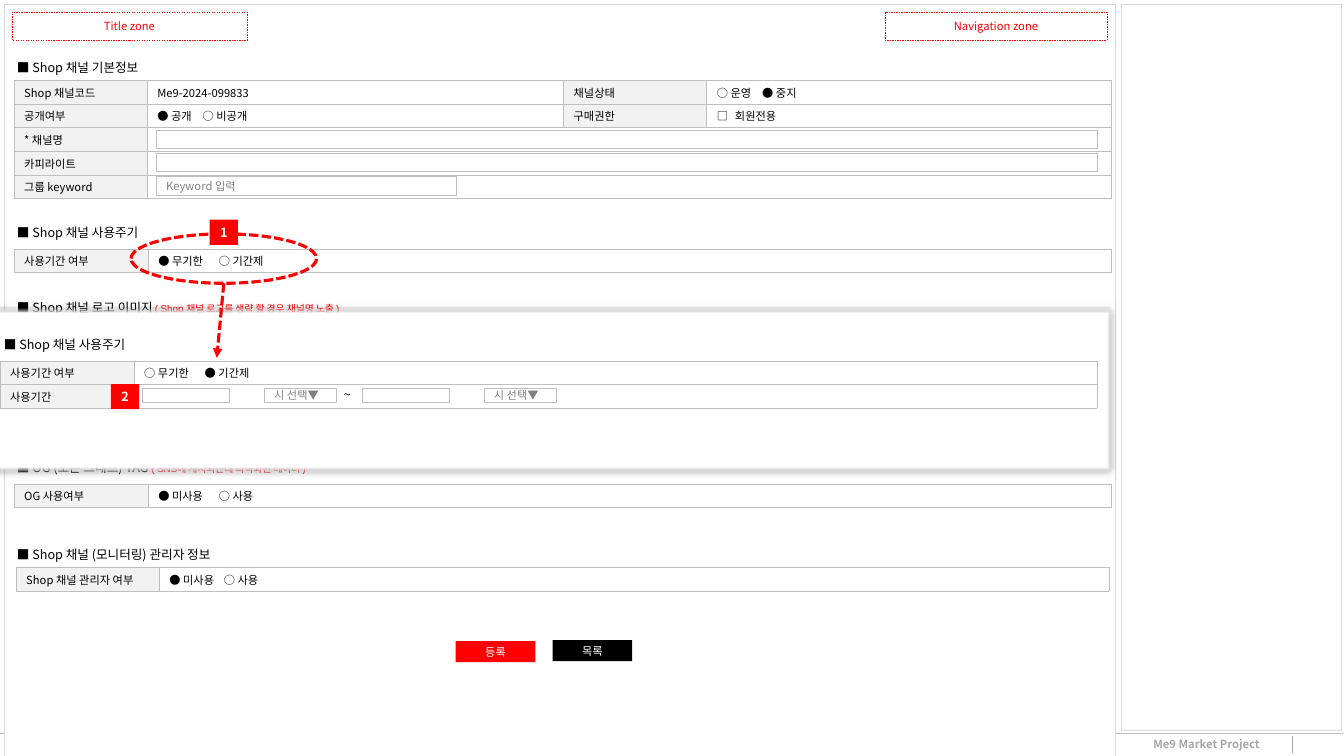
from lxml.etree import SubElement
from pptx import Presentation
from pptx.dml.color import RGBColor
from pptx.enum.dml import MSO_LINE
from pptx.enum.shapes import MSO_CONNECTOR, MSO_SHAPE
from pptx.enum.text import MSO_ANCHOR, PP_ALIGN
from pptx.oxml.ns import qn
from pptx.util import Emu, Inches, Pt

COLORS = {
    "white": "FFFFFF", "black": "000000", "red": "FF0000", "label": "F2F2F2",
    "border": "BFBFBF", "frame": "D9D9D9", "footer": "A6A6A6", "hint": "808080",
}
FONT = "Noto Sans CJK KR"
ROW_HEIGHT = 0.234


class ShopScreen:
    """Draws the parts of the shop channel form on one slide."""

    def __init__(self, slide):
        self.slide = slide
        self.shapes = slide.shapes

    def color(self, name):
        return RGBColor.from_string(COLORS[name])

    def style_run(self, run, size, color, bold=False, font=FONT):
        run.font.size = Pt(size)
        run.font.name = font
        run.font.bold = bold
        run.font.color.rgb = self.color(color)
        SubElement(run._r.get_or_add_rPr(), qn("a:ea"), typeface=FONT)

    def style_line(self, line, color, width, dash=None):
        line.color.rgb = self.color(color)
        line.width = Pt(width)
        if dash:
            line.dash_style = dash

    def box(self, at, fill=None, line=None, width=0.5, dash=None, kind=MSO_SHAPE.RECTANGLE):
        shape = self.shapes.add_shape(kind, *map(Inches, at))
        shape.shadow.inherit = False
        if fill:
            shape.fill.solid()
            shape.fill.fore_color.rgb = self.color(fill)
        else:
            shape.fill.background()
        if line:
            self.style_line(shape.line, line, width, dash)
        else:
            shape.line.fill.background()
        return shape

    def put_text(self, shape, text, size, color, bold=False, align=PP_ALIGN.LEFT):
        frame = shape.text_frame
        frame.word_wrap = False
        frame.vertical_anchor = MSO_ANCHOR.MIDDLE
        frame.margin_top = frame.margin_bottom = 0
        frame.text = text
        paragraph = frame.paragraphs[0]
        paragraph.alignment = align
        self.style_run(paragraph.runs[0], size, color, bold)
        return paragraph

    def label(self, at, text, size=9, color="black", bold=False):
        caption = self.shapes.add_textbox(*map(Inches, at))
        return self.put_text(caption, text, size, color, bold)

    def heading(self, left, top, width, text, note=None):
        paragraph = self.label((left, top, width, 0.25), "■ " + text)
        if note:
            remark = paragraph.add_run()
            remark.text = " " + note
            self.style_run(remark, 7, "red", font="Arial")

    def field(self, at, hint=None):
        entry = self.box(at, "white", "border")
        if hint:
            self.put_text(entry, hint, 8, "hint")

    def button(self, at, text, fill):
        self.put_text(self.box(at, fill), text, 8, "white", align=PP_ALIGN.CENTER)

    def zone(self, left, width, text):
        area = self.box((left, 0.12, width, 0.28), None, "red", 0.25, MSO_LINE.DASH)
        self.put_text(area, text, 8, "red", align=PP_ALIGN.CENTER)

    def badge(self, left, top, number):
        marker = self.box((left, top, 0.28, 0.25), "red")
        self.put_text(marker, number, 9, "white", True, PP_ALIGN.CENTER)

    def line(self, start, end, color, width, dash=None, arrow=False):
        connector = self.shapes.add_connector(
            MSO_CONNECTOR.STRAIGHT, *map(Inches, start + end))
        self.style_line(connector.line, color, width, dash)
        if arrow:
            SubElement(connector.line._get_or_add_ln(), qn("a:tailEnd"), type="triangle")
        SubElement(connector._element.spPr, qn("a:effectLst"))

    def panel(self, at):
        sheet = self.box(at, "white", "black", 1)
        effects = sheet._element.spPr.find(qn("a:effectLst"))
        shadow = SubElement(effects, qn("a:outerShdw"), blurRad=str(Pt(5)),
                            dist="0", dir="0", algn="ctr", rotWithShape="0")
        tint = SubElement(shadow, qn("a:srgbClr"), val=COLORS["black"])
        SubElement(tint, qn("a:alpha"), val="50000")
        SubElement(effects, qn("a:softEdge"), rad=str(Pt(2.5)))

    def cell(self, cell, content, fill):
        text, tab = content if isinstance(content, tuple) else (content, None)
        cell.margin_top = cell.margin_bottom = Inches(0.03)
        cell.vertical_anchor = MSO_ANCHOR.MIDDLE
        cell.text_frame.text = text
        paragraph = cell.text_frame.paragraphs[0]
        if tab:
            stops = SubElement(paragraph._p.get_or_add_pPr(), qn("a:tabLst"))
            SubElement(stops, qn("a:tab"), pos=str(Inches(tab)), algn="l")
        for run in paragraph.runs:
            self.style_run(run, 8, "black")
        if not text:
            SubElement(paragraph._p, qn("a:endParaRPr"), sz="800")
        properties = cell._tc.get_or_add_tcPr()
        for side in ("lnL", "lnR", "lnT", "lnB"):
            edge = SubElement(properties, qn("a:" + side), w=str(Pt(0.5)))
            paint = SubElement(edge, qn("a:solidFill"))
            SubElement(paint, qn("a:srgbClr"), val=COLORS["border"])
        cell.fill.solid()
        cell.fill.fore_color.rgb = self.color(fill)

    def form(self, left, top, widths, rows):
        height = Inches(ROW_HEIGHT)
        table = self.shapes.add_table(
            len(rows), len(widths), Inches(left), Inches(top),
            Inches(sum(widths)), Emu(height * len(rows))).table
        table.first_row = table.horz_banding = False
        for column, width in zip(table.columns, widths):
            column.width = Inches(width)
        for r, contents in enumerate(rows):
            table.rows[r].height = height
            for c in range(len(widths)):
                content = contents[c] if c < len(contents) else ""
                self.cell(table.cell(r, c), content, "white" if c % 2 else "label")
            if len(contents) < len(widths):
                table.cell(r, len(contents) - 1).merge(table.cell(r, len(widths) - 1))


def main():
    deck = Presentation()
    deck.slide_width, deck.slide_height = Inches(13.33), Inches(7.5)
    screen = ShopScreen(deck.slides.add_slide(deck.slide_layouts[6]))

    screen.line((0, 7.27), (13.33, 7.27), "border", 0.25)
    screen.label((11.34, 7.26, 1.4, 0.24), "Me9 Market Project", 8, "footer", True)
    screen.line((12.82, 7.3), (12.82, 7.47), "footer", 0.25)
    screen.box((0.04, 0.04, 11.02, 9.07), "white", "frame", 0.25)

    screen.heading(0.07, 0.54, 1.51, "Shop 채널 기본정보")
    screen.form(0.14, 0.8, (1.32, 4.13, 1.42, 4.01), [
        ("Shop 채널코드", "Me9-2024-099833", "채널상태", ("○ 운영\t● 중지", 0.45)),
        ("공개여부", ("● 공개\t○ 비공개", 0.45), "구매권한", ("□\t회원전용", 0.18)),
        ("* 채널명", ""),
        ("카피라이트", ""),
        ("그룹 keyword", ""),
    ])
    for top in (1.29, 1.52):
        screen.field((1.55, top, 9.33, 0.18))
    screen.field((1.55, 1.75, 2.98, 0.19), "Keyword 입력")

    section_widths = (1.33, 9.55)
    screen.heading(0.07, 2.18, 1.51, "Shop 채널 사용주기")
    screen.form(0.14, 2.47, section_widths, [("사용기간 여부", ("● 무기한\t○ 기간제", 0.6))])
    screen.heading(0.07, 2.92, 3.8, "Shop 채널 로고 이미지",
                   "( Shop 채널 로고를 생략 할 경우 채널명 노출 )")
    screen.heading(0.07, 4.51, 3.41, "OG (오픈 그래프) TAG",
                   "( SNS에 게시되는데 최적화된 데이터 )")
    screen.form(0.14, 4.8, section_widths, [("OG 사용여부", ("● 미사용\t○ 사용", 0.6))])
    screen.heading(0.07, 5.38, 2.31, "Shop 채널 (모니터링) 관리자 정보")
    screen.form(0.16, 5.63, (1.42, 9.42),
                [("Shop 채널 관리자 여부", ("● 미사용\t○ 사용", 0.54))])
    screen.button((4.52, 6.36, 0.79, 0.21), "등록", "red")
    screen.button((5.48, 6.35, 0.79, 0.21), "목록", "black")

    screen.box((11.12, 0.04, 2.18, 7.2), None, "frame", 0.25)
    screen.zone(0.12, 2.33, "Title zone")
    screen.zone(8.78, 2.2, "Navigation zone")

    screen.panel((-0.17, 3.05, 11.21, 1.64))
    screen.box((1.3, 2.32, 1.84, 0.49), None, "red", 2.25,
               MSO_LINE.SQUARE_DOT, MSO_SHAPE.OVAL)
    screen.badge(2.08, 2.18, "1")
    screen.line((2.22, 2.81), (2.15, 3.55), "red", 2.25, MSO_LINE.SQUARE_DOT, True)
    screen.form(0, 3.58, section_widths, [
        ("사용기간 여부", ("○ 무기한\t● 기간제", 0.6)),
        ("사용기간", ""),
    ])
    screen.heading(-0.06, 3.29, 1.51, "Shop 채널 사용주기")
    for date_left in (1.41, 3.59):
        screen.field((date_left, 3.85, 0.87, 0.14))
        screen.field((date_left + 1.21, 3.85, 0.72, 0.14), "시 선택▼")
    screen.label((3.31, 3.79, 0.29, 0.25), "~")
    screen.badge(1.1, 3.81, "2")

    deck.save("out.pptx")


if __name__ == "__main__":
    main()
